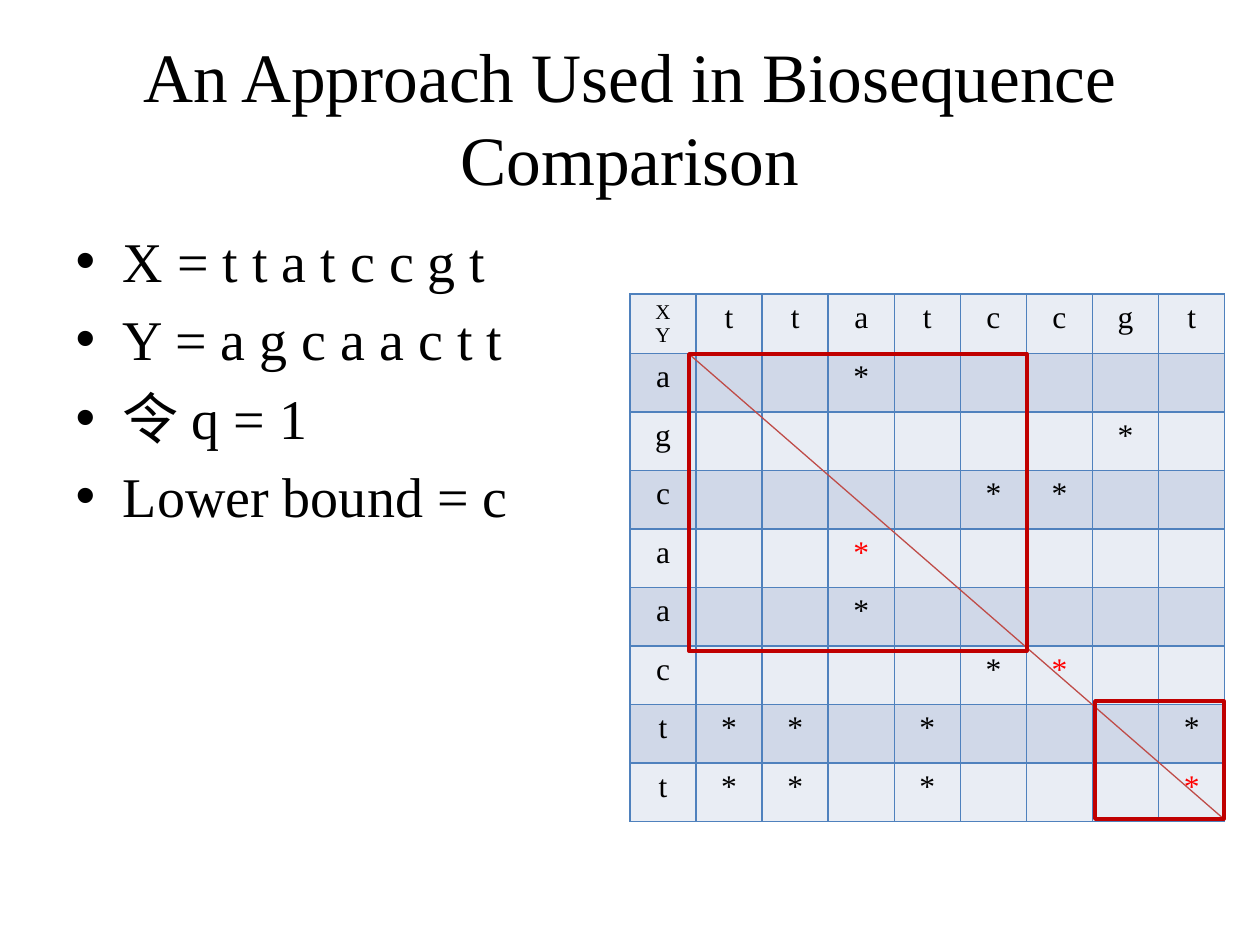
"""Build a slide showing a match matrix for comparing two biosequences."""
from dataclasses import dataclass

from lxml.etree import SubElement
from pptx import Presentation
from pptx.dml.color import RGBColor
from pptx.enum.shapes import MSO_CONNECTOR, MSO_SHAPE
from pptx.enum.text import MSO_ANCHOR, MSO_AUTO_SIZE, PP_ALIGN
from pptx.oxml.ns import qn
from pptx.util import Emu, Pt

TITLE = "An Approach Used in Biosequence Comparison"
BULLETS = ["X = t t a t c c g t", "Y = a g c a a c t t", "令 q = 1", "Lower bound = c"]
SEQUENCE_X = "ttatccgt"
SEQUENCE_Y = "agcaactt"
CORNER = "X\vY"
CHOSEN_MATCHES = {(4, 3), (6, 6), (8, 8)}

TITLE_BOX = (63, 38, 1134, 157)
BODY_BOX = (63, 220, 1134, 624)
TABLE_BOX = (630, 294, 595, 527)
DIAGONAL = (689, 354, 1225, 820)
REGIONS = [(689, 354, 338, 297), (1095, 701, 129, 118)]


@dataclass(frozen=True)
class Theme:
    font: str = "Times New Roman"
    text: str = "000000"
    chosen: str = "FF0000"
    bands: tuple = ("E9EDF4", "D0D8E8")
    border: str = "4F81BD"
    diagonal: str = "BF4C48"
    region: str = "C00000"
    title_size: float = 39.6
    body_size: int = 32
    cell_size: int = 18
    corner_size: int = 12


THEME = Theme()


def px(value):
    return Emu(round(value * 914400 / 126))


def place(shape, box):
    shape.left, shape.top, shape.width, shape.height = map(px, box)


def style_paragraph(paragraph, size, color=THEME.text):
    paragraph.font.name = THEME.font
    paragraph.font.size = Pt(size)
    paragraph.font.color.rgb = RGBColor.from_string(color)


def fill_placeholder(shape, box, lines, size):
    place(shape, box)
    frame = shape.text_frame
    frame.text = "\n".join(lines)
    frame.auto_size = MSO_AUTO_SIZE.NONE
    for paragraph in frame.paragraphs:
        style_paragraph(paragraph, size)


def add_borders(cell):
    properties = cell._tc.get_or_add_tcPr()
    for position, side in enumerate(("a:lnL", "a:lnR", "a:lnT", "a:lnB")):
        line = properties.makeelement(qn(side), {"w": str(Pt(1))})
        fill = SubElement(line, qn("a:solidFill"))
        SubElement(fill, qn("a:srgbClr"), val=THEME.border)
        properties.insert(position, line)


def matrix_rows():
    yield [CORNER, *SEQUENCE_X]
    for y in SEQUENCE_Y:
        yield [y] + ["*" if x == y else "" for x in SEQUENCE_X]


def add_matrix(slide):
    rows = list(matrix_rows())
    count_rows, count_columns = len(rows), len(rows[0])
    table = slide.shapes.add_table(count_rows, count_columns, *map(px, TABLE_BOX)).table
    table.first_row = table.horz_banding = False
    for row, values in enumerate(rows):
        for column, value in enumerate(values):
            cell = table.cell(row, column)
            cell.text = value
            cell.fill.solid()
            cell.fill.fore_color.rgb = RGBColor.from_string(THEME.bands[row % 2])
            add_borders(cell)
            paragraph = cell.text_frame.paragraphs[0]
            paragraph.alignment = PP_ALIGN.CENTER
            size = THEME.corner_size if value == CORNER else THEME.cell_size
            color = THEME.chosen if (row, column) in CHOSEN_MATCHES else THEME.text
            style_paragraph(paragraph, size, color)


def set_line(line, color, width):
    line.color.rgb = RGBColor.from_string(color)
    line.width = Pt(width)


def add_marks(slide):
    diagonal = slide.shapes.add_connector(MSO_CONNECTOR.STRAIGHT, *map(px, DIAGONAL))
    set_line(diagonal.line, THEME.diagonal, 0.75)
    SubElement(diagonal._element.spPr, qn("a:effectLst"))
    for box in REGIONS:
        region = slide.shapes.add_shape(MSO_SHAPE.RECTANGLE, *map(px, box))
        region.shadow.inherit = False
        region.fill.background()
        set_line(region.line, THEME.region, 2)


def main():
    presentation = Presentation()
    presentation.slide_width, presentation.slide_height = px(1260), px(945)
    slide = presentation.slides.add_slide(presentation.slide_layouts[1])
    title, body = slide.placeholders
    fill_placeholder(title, TITLE_BOX, [TITLE], THEME.title_size)
    title.text_frame.vertical_anchor = MSO_ANCHOR.MIDDLE
    fill_placeholder(body, BODY_BOX, BULLETS, THEME.body_size)
    body.text_frame.paragraphs[0].space_before = Pt(0)
    add_matrix(slide)
    add_marks(slide)
    presentation.save("out.pptx")


if __name__ == "__main__":
    main()
